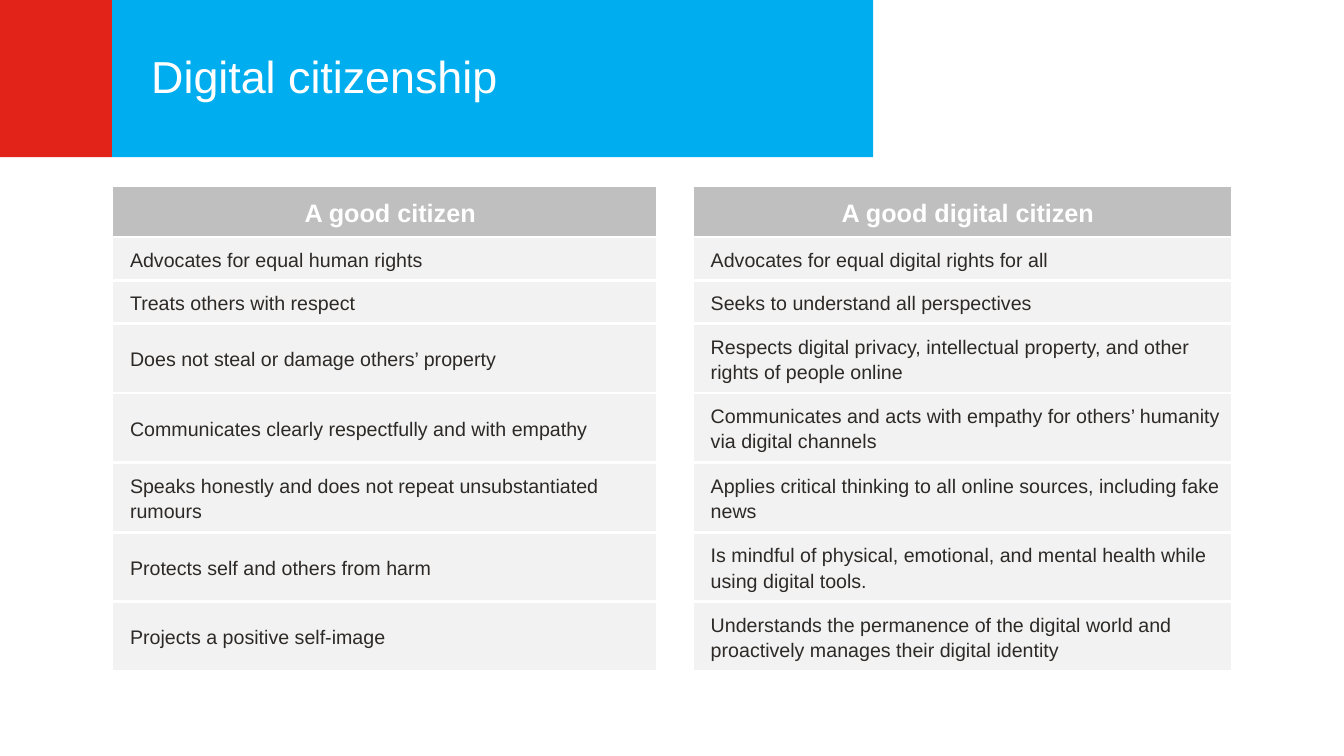
import pptx
import pptx.dml.color
import pptx.enum.shapes
import pptx.enum.text
import pptx.oxml.ns
import pptx.util
from lxml import etree
from pptx.util import Inches

FONT = "Arial"
WHITE, BLUE, RED = "FFFFFF", "00AEEF", "E2231A"
HEADER_GREY, ROW_GREY, INK = "BFBFBF", "F2F2F2", "2D2926"

COLUMN_WIDTHS = [5.41, 0.35, 5.35]
ROW_HEIGHTS = [0.51] + [0.43] * 2 + [0.69] * 5
CITIZEN_ROWS = [
    ("A good citizen", "A good digital citizen"),
    ("Advocates for equal human rights", "Advocates for equal digital rights for all"),
    ("Treats others with respect", "Seeks to understand all perspectives"),
    ("Does not steal or damage others’ property",
     "Respects digital privacy, intellectual property, and other rights of people online"),
    ("Communicates clearly respectfully and with empathy",
     "Communicates and acts with empathy for others’ humanity via digital channels"),
    ("Speaks honestly and does not repeat unsubstantiated rumours",
     "Applies critical thinking to all online sources, including fake news"),
    ("Protects self and others from harm",
     "Is mindful of physical, emotional, and mental health while using digital tools."),
    ("Projects a positive self-image",
     "Understands the permanence of the digital world and proactively manages their digital identity"),
]


def color(value):
    return pptx.dml.color.RGBColor.from_string(value)


def set_font(para, size, value, bold=False):
    para.font.name = FONT
    para.font.size = pptx.util.Pt(size)
    para.font.bold = bold
    para.font.color.rgb = color(value)


def add_block(page, left, width, height, fill):
    block = page.shapes.add_shape(pptx.enum.shapes.MSO_SHAPE.RECTANGLE,
                                  Inches(left), 0, Inches(width), Inches(height))
    block.shadow.inherit = False
    block.fill.solid()
    block.fill.fore_color.rgb = color(fill)
    block.line.fill.background()
    return block


def add_title(block, text):
    frame = block.text_frame
    frame.word_wrap = True
    frame.vertical_anchor = pptx.enum.text.MSO_ANCHOR.MIDDLE
    frame.margin_left, frame.margin_right = Inches(0.39), Inches(0.59)
    para = frame.paragraphs[0]
    para.text = text
    para.alignment = pptx.enum.text.PP_ALIGN.LEFT
    para.line_spacing = 0.9
    set_font(para, 32, WHITE)


def set_borders(cell, value, points):
    properties = cell._tc.get_or_add_tcPr()
    for side in ("a:lnL", "a:lnR", "a:lnT", "a:lnB"):
        line = etree.SubElement(properties, pptx.oxml.ns.qn(side), w=str(pptx.util.Pt(points)))
        solid = etree.SubElement(line, pptx.oxml.ns.qn("a:solidFill"))
        etree.SubElement(solid, pptx.oxml.ns.qn("a:srgbClr"), val=value)


def fill_cell(cell, text, header):
    cell.fill.solid()
    cell.fill.fore_color.rgb = color(HEADER_GREY if header else ROW_GREY)
    cell.vertical_anchor = pptx.enum.text.MSO_ANCHOR.MIDDLE
    cell.margin_left = cell.margin_right = Inches(0.07)
    cell.margin_top = cell.margin_bottom = Inches(0.07)
    para = cell.text_frame.paragraphs[0]
    para.text = text
    para.line_spacing = 1.15
    para._p.get_or_add_pPr().set("marL", str(Inches(0.11)))
    if header:
        para.alignment = pptx.enum.text.PP_ALIGN.CENTER
        set_font(para, 18, WHITE, bold=True)
    else:
        para.alignment = pptx.enum.text.PP_ALIGN.LEFT
        set_font(para, 14, INK)


def add_comparison(page, left, top):
    table = page.shapes.add_table(
        len(ROW_HEIGHTS), len(COLUMN_WIDTHS), Inches(left), Inches(top),
        Inches(sum(COLUMN_WIDTHS)), Inches(sum(ROW_HEIGHTS))).table
    table.first_row = table.horz_banding = False
    for column, width in zip(table.columns, COLUMN_WIDTHS):
        column.width = Inches(width)
    for index, (row, height) in enumerate(zip(table.rows, ROW_HEIGHTS)):
        row.height = Inches(height)
        for cell in row.cells:
            set_borders(cell, WHITE, 2.25)
        citizen, gap, digital = row.cells
        gap.fill.background()
        for cell, text in zip((citizen, digital), CITIZEN_ROWS[index]):
            fill_cell(cell, text, header=index == 0)


def main():
    deck = pptx.Presentation()
    deck.slide_width, deck.slide_height = Inches(13.33), Inches(7.5)
    page = deck.slides.add_slide(deck.slide_layouts[6])

    # Title band
    add_title(add_block(page, 1.11, 7.55, 1.56, BLUE), "Digital citizenship")
    add_block(page, 0, 1.11, 1.56, RED)

    # Two lists side by side, with an empty column between them
    add_comparison(page, 1.11, 1.84)

    deck.save("out.pptx")


if __name__ == "__main__":
    main()
